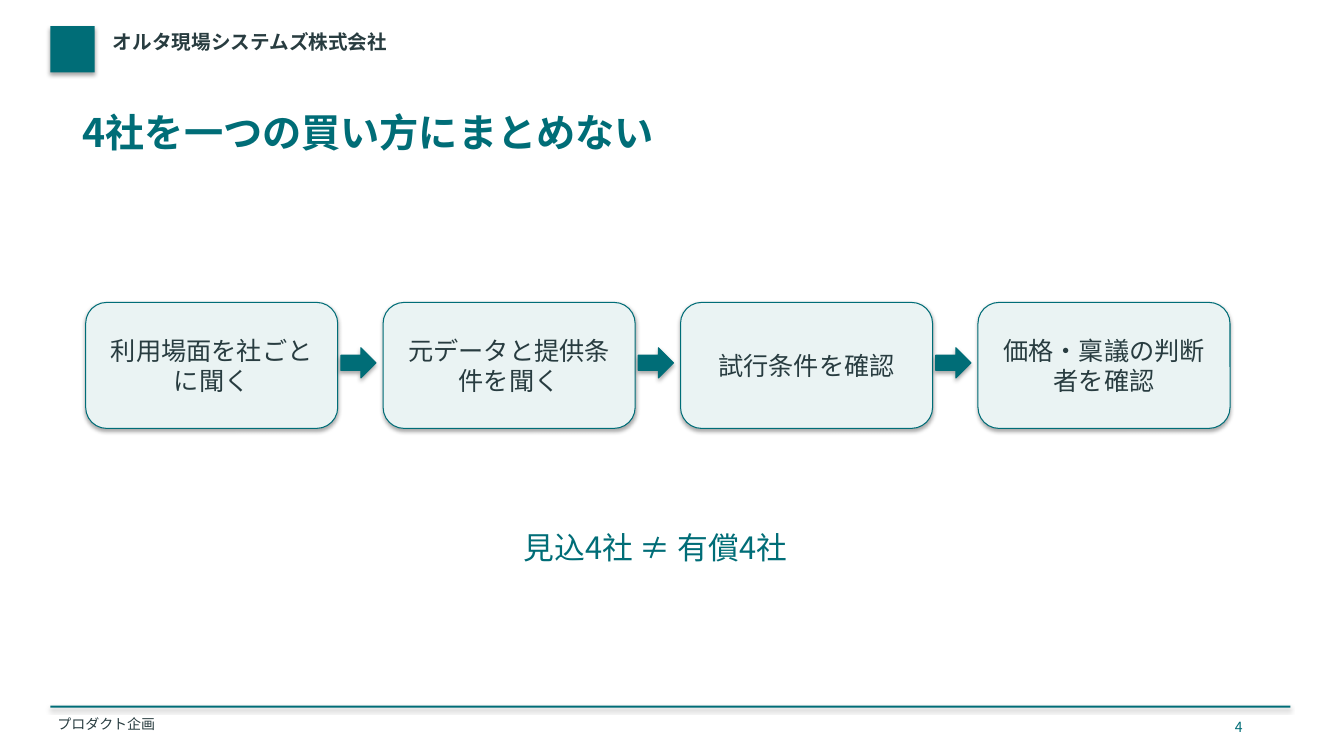
import dataclasses

import lxml.etree
import pptx
import pptx.dml.color
import pptx.enum.shapes
import pptx.enum.text
import pptx.oxml.ns
import pptx.util

SHAPE = pptx.enum.shapes.MSO_SHAPE
ALIGN = pptx.enum.text.PP_ALIGN
ANCHOR = pptx.enum.text.MSO_ANCHOR


@dataclasses.dataclass(frozen=True)
class Theme:
    font: str = "Noto Sans CJK JP"
    teal: str = "006D77"
    ink: str = "283C40"
    mist: str = "EAF3F3"
    title: int = 28
    message: int = 22
    step: int = 18
    company: int = 14
    footer: int = 10
    outline: float = 0.75
    tight: float = 0.2
    cell: float = 0.1


class SlideBuilder:
    """Places styled elements on a page; places are (column, row, columns, rows)."""

    def __init__(self, page, theme):
        self.page = page
        self.theme = theme

    def length(self, cells):
        return pptx.util.Inches(cells * self.theme.cell)

    def area(self, place):
        return [self.length(cells) for cells in place]

    def color(self, value):
        return pptx.dml.color.RGBColor.from_string(value)

    def fill_text(self, frame, text, size, color, bold=False, align=ALIGN.LEFT):
        frame.word_wrap = True
        frame.text = text
        para = frame.paragraphs[0]
        para.alignment = align
        para.font.size = pptx.util.Pt(size)
        para.font.bold = bold
        para.font.color.rgb = self.color(color)
        para.font.name = self.theme.font
        # Japanese glyphs take their typeface from the East Asian slot
        latin = next(para._p.iter(pptx.oxml.ns.qn("a:latin")))
        east_asian = lxml.etree.SubElement(latin.getparent(), pptx.oxml.ns.qn("a:ea"))
        east_asian.set("typeface", self.theme.font)

    def tighten(self, frame):
        margin = self.length(self.theme.tight)
        frame.margin_left = frame.margin_right = margin
        frame.margin_top = frame.margin_bottom = margin

    def title(self, place, text):
        box = self.page.shapes.title
        box.left, box.top, box.width, box.height = self.area(place)
        frame = box.text_frame
        frame.vertical_anchor = ANCHOR.TOP
        frame.auto_size = pptx.enum.text.MSO_AUTO_SIZE.SHAPE_TO_FIT_TEXT
        self.tighten(frame)
        self.fill_text(frame, text, self.theme.title, self.theme.teal, bold=True)

    def text(self, place, text, size, color, tight=False, **style):
        frame = self.page.shapes.add_textbox(*self.area(place)).text_frame
        frame.auto_size = pptx.enum.text.MSO_AUTO_SIZE.SHAPE_TO_FIT_TEXT
        if tight:
            self.tighten(frame)
        self.fill_text(frame, text, size, color, **style)

    def shape(self, kind, place, fill, outlined=True):
        """Add a filled shape that keeps the deck theme's soft shadow."""
        shape = self.page.shapes.add_shape(kind, *self.area(place))
        shape.fill.solid()
        shape.fill.fore_color.rgb = self.color(fill)
        if outlined:
            shape.line.color.rgb = self.color(self.theme.teal)
            shape.line.width = pptx.util.Pt(self.theme.outline)
        else:
            shape.line.fill.background()
        return shape

    def step(self, place, text):
        card = self.shape(SHAPE.ROUNDED_RECTANGLE, place, self.theme.mist)
        card.text_frame.vertical_anchor = ANCHOR.MIDDLE
        self.fill_text(card.text_frame, text, self.theme.step, self.theme.ink,
                       align=ALIGN.CENTER)

    def flow(self, place, gap, steps):
        """Lay equal cards in a row, with an arrow in each gap."""
        left, top, width, height = place
        for index, text in enumerate(steps):
            column = left + index * (width + gap)
            if index:
                arrow = (column - gap + 0.3, top + 4.5, 3.5, 3)
                self.shape(SHAPE.RIGHT_ARROW, arrow, self.theme.teal)
            self.step((column, top, width, height), text)


def main():
    theme = Theme()
    deck = pptx.Presentation()
    deck.slide_width = pptx.util.Inches(13.33)
    deck.slide_height = pptx.util.Inches(7.5)
    slide = SlideBuilder(deck.slides.add_slide(deck.slide_layouts[5]), theme)

    slide.shape(SHAPE.RECTANGLE, (5, 2.6, 4.4, 4.6), theme.teal, outlined=False)
    slide.text((11, 2.8, 100, 4), "オルタ現場システムズ株式会社",
               theme.company, theme.ink, tight=True, bold=True)
    slide.title((8, 10.5, 117, 7.5), "4社を一つの買い方にまとめない")

    slide.flow((8.5, 30, 25, 12.5), 4.5, [
        "利用場面を社ごとに聞く",
        "元データと提供条件を聞く",
        "試行条件を確認",
        "価格・稟議の判断者を確認",
    ])
    slide.text((30, 52, 70, 5), "見込4社 ≠ 有償4社",
               theme.message, theme.teal, align=ALIGN.CENTER)

    slide.shape(SHAPE.RECTANGLE, (5, 70, 123, 0.2), theme.teal, outlined=False)
    slide.text((5.5, 70.8, 90, 2.2), "プロダクト企画",
               theme.footer, theme.ink, tight=True)
    slide.text((121.5, 70.8, 5, 2.2), "4", theme.footer, theme.teal)

    deck.save("out.pptx")


if __name__ == "__main__":
    main()
